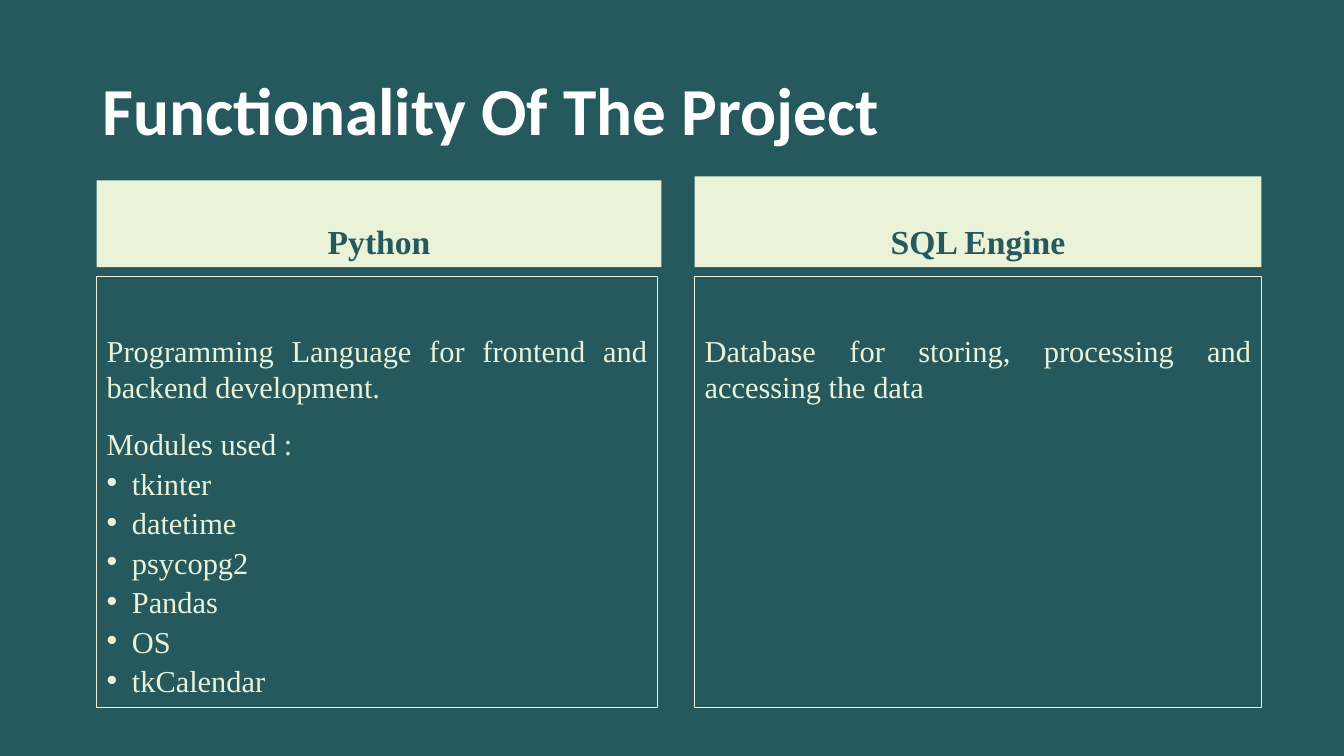
from lxml import etree
from pptx import Presentation
from pptx.dml.color import RGBColor
from pptx.enum.shapes import MSO_SHAPE as Shape
from pptx.enum.text import MSO_ANCHOR as Anchor, PP_ALIGN as Align
from pptx.oxml.ns import qn
from pptx.util import Inches, Pt

TEAL, CREAM, WHITE = "25595D", "EAF3D7", "FFFFFF"
SERIF = "Times New Roman"
BODY_SIZE = 21.7
HEADER_BOTTOM, PANEL_TOP, PANEL_HEIGHT = 2.65, 2.74, 4.28
MODULES = ["tkinter", "datetime", "psycopg2", "Pandas", "OS", "tkCalendar"]


def color(hex_code):
    return RGBColor.from_string(hex_code)


def place(shape, left, top, width, height):
    shape.left, shape.top = Inches(left), Inches(top)
    shape.width, shape.height = Inches(width), Inches(height)


def write(paragraph, text, size, font, hex_code, bold=False,
          align=Align.LEFT, spacing=0.9, before=0, after=0):
    paragraph.alignment = align
    paragraph.line_spacing = spacing
    paragraph.space_before, paragraph.space_after = Pt(before), Pt(after)
    run = paragraph.add_run()
    run.text = text
    run.font.name, run.font.size, run.font.bold = font, Pt(size), bold
    run.font.color.rgb = color(hex_code)


def add_bullet(paragraph):
    properties = paragraph._p.get_or_add_pPr()
    properties.set("marL", str(Inches(0.25)))
    properties.set("indent", str(-Inches(0.25)))
    font = etree.SubElement(properties, qn("a:buFont"))
    font.set("typeface", "Arial")
    etree.SubElement(properties, qn("a:buChar")).set("char", "•")


def add_box(slide, left, top, width, height, fill, anchor):
    box = slide.shapes.add_shape(
        Shape.RECTANGLE, Inches(left), Inches(top), Inches(width), Inches(height))
    box.shadow.inherit = False
    box.fill.solid()
    box.fill.fore_color.rgb = color(fill)
    box.line.fill.background()
    box.text_frame.word_wrap = True
    box.text_frame.vertical_anchor = anchor
    return box


def add_header(slide, text, left, width, height):
    box = add_box(slide, left, HEADER_BOTTOM - height, width, height,
                  CREAM, Anchor.BOTTOM)
    write(box.text_frame.paragraphs[0], text, 24, SERIF, TEAL,
          bold=True, align=Align.CENTER)


def add_panel(slide, text, left, width):
    box = add_box(slide, left, PANEL_TOP, width, PANEL_HEIGHT, TEAL, Anchor.TOP)
    box.line.color.rgb = color(CREAM)
    box.line.width = Pt(1)
    frame = box.text_frame
    frame.margin_top = Inches(0.55)
    write(frame.paragraphs[0], text, BODY_SIZE, SERIF, CREAM,
          align=Align.JUSTIFY, spacing=1.0, after=12)
    return frame


def add_modules(frame, heading, modules):
    for text in [heading, *modules]:
        paragraph = frame.add_paragraph()
        write(paragraph, text, BODY_SIZE, SERIF, CREAM, spacing=0.7, before=10)
        if text != heading:
            add_bullet(paragraph)


def add_title(slide, text):
    title = slide.shapes.title
    place(title, 0.92, 0.4, 11.5, 1.45)
    title.text_frame.vertical_anchor = Anchor.MIDDLE
    write(title.text_frame.paragraphs[0], text, 48, "Calibri", WHITE, bold=True)


def main():
    presentation = Presentation()
    presentation.slide_width, presentation.slide_height = Inches(13.33), Inches(7.5)
    slide = presentation.slides.add_slide(presentation.slide_layouts[5])
    slide.background.fill.solid()
    slide.background.fill.fore_color.rgb = color(TEAL)

    add_title(slide, "Functionality Of The Project")
    add_header(slide, "Python", 0.96, 5.6, 0.86)
    python_frame = add_panel(
        slide, "Programming Language for frontend and backend development.", 0.96, 5.56)
    add_modules(python_frame, "Modules used :", MODULES)
    add_header(slide, "SQL Engine", 6.89, 5.62, 0.9)
    add_panel(slide, "Database for storing, processing and accessing the data", 6.89, 5.62)
    presentation.save("out.pptx")


if __name__ == "__main__":
    main()
